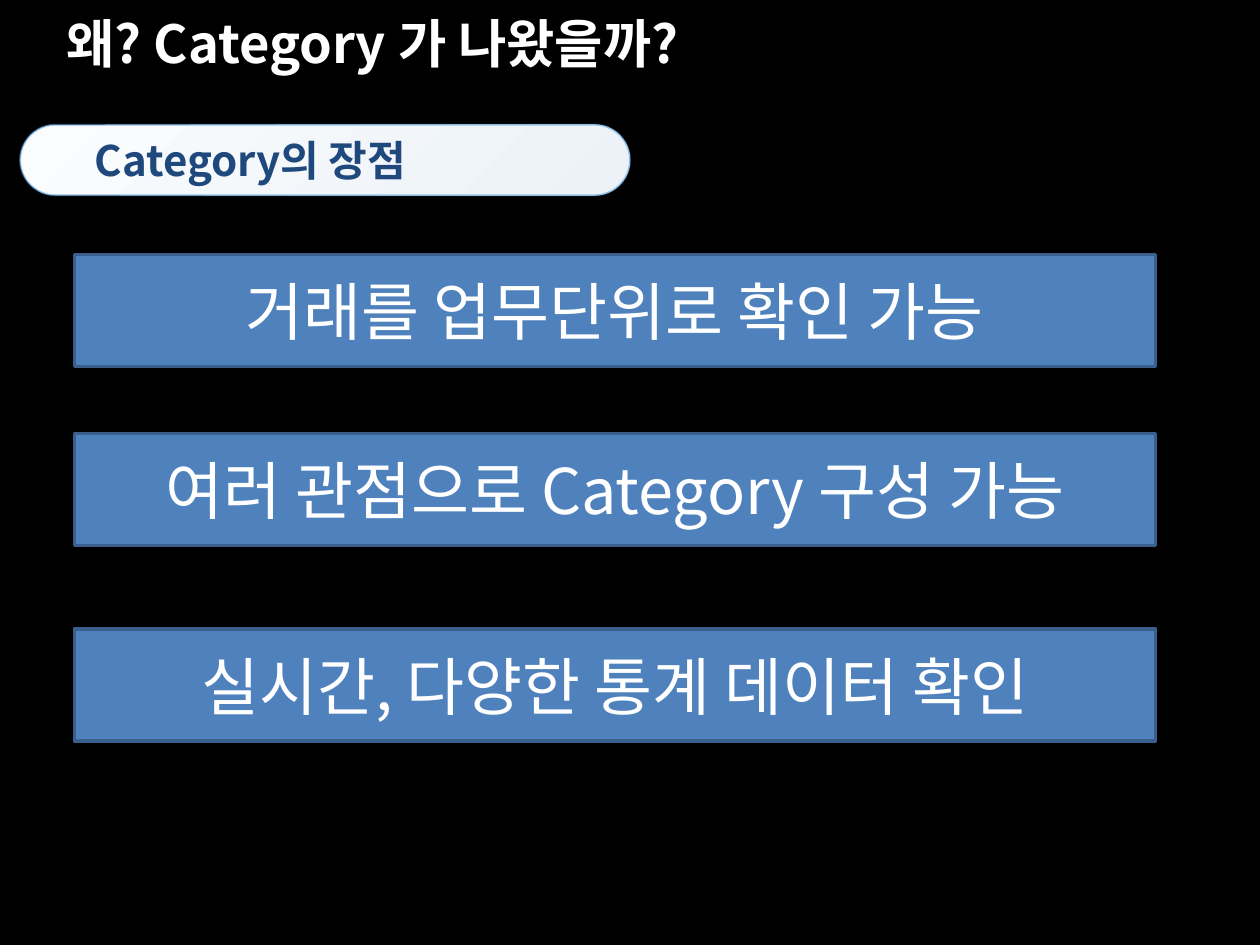
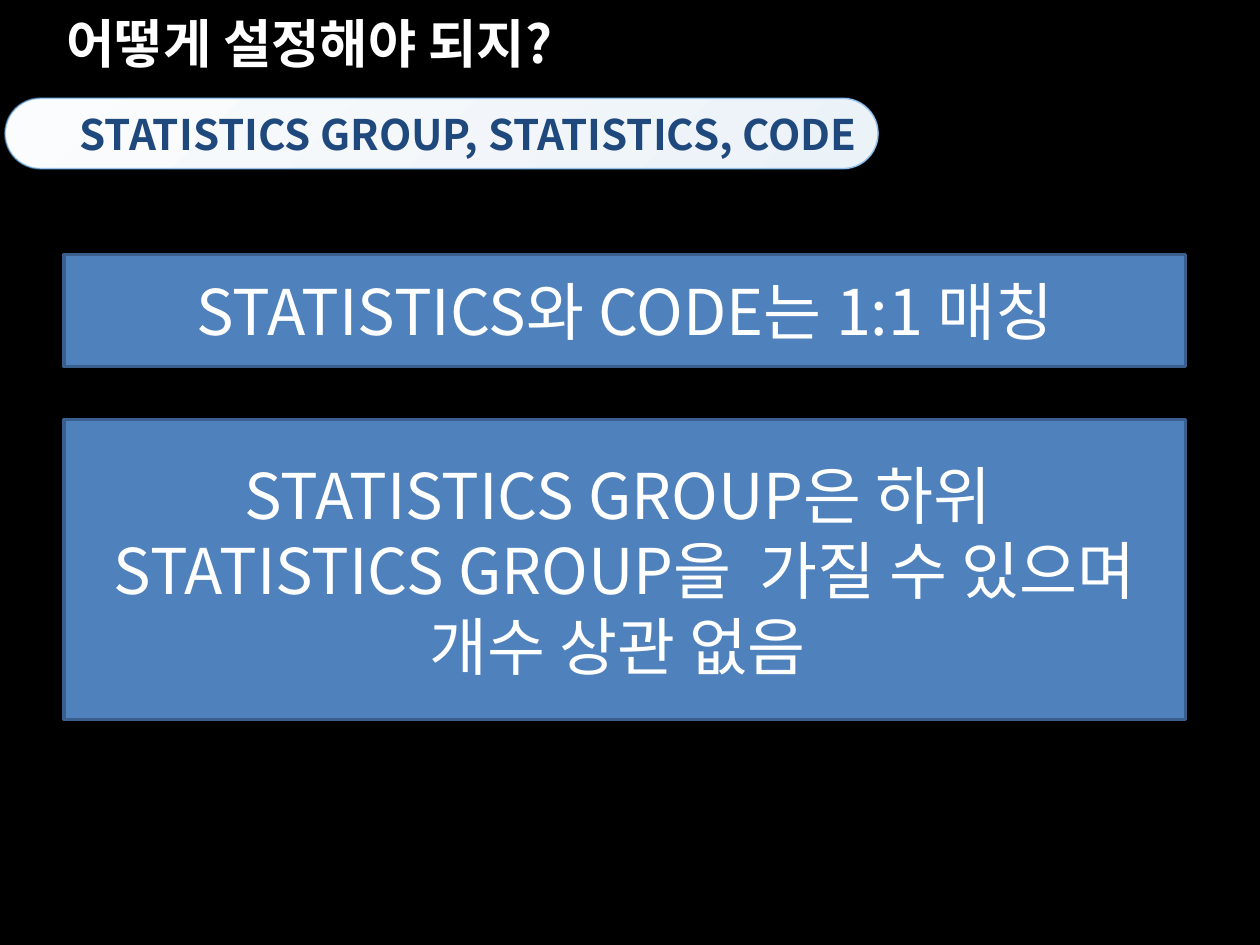
from dataclasses import dataclass

from lxml.etree import SubElement
from pptx import Presentation
from pptx.dml.color import RGBColor as RGB
from pptx.enum.shapes import MSO_SHAPE as SHAPE
from pptx.enum.text import MSO_ANCHOR as ANCHOR, PP_ALIGN as ALIGN
from pptx.oxml.ns import qn
from pptx.util import Inches, Pt

COLUMNS, ROWS = 100, 75
UNIT = Inches(0.1)  # one column is as wide as one row is high


@dataclass(frozen=True)
class Theme:
    font: str = "Noto Sans CJK KR"
    background: RGB = RGB.from_string("000000")
    light: RGB = RGB.from_string("FFFFFF")
    heading: RGB = RGB.from_string("1F497D")
    pill_start: RGB = RGB.from_string("FBFCFE")
    pill_end: RGB = RGB.from_string("EBF2F8")
    pill_edge: RGB = RGB.from_string("5CA0DD")
    pill_edge_opacity: int = 60
    bar: RGB = RGB.from_string("4F81BD")
    bar_edge: RGB = RGB.from_string("3A5F8C")
    title_size: int = 30
    heading_size: int = 24
    bar_size: int = 36


@dataclass(frozen=True)
class Box:
    """An area in columns and rows of the grid."""
    left: float
    top: float
    width: float
    height: float

    def emu(self):
        return [round(n * UNIT) for n in (self.left, self.top, self.width, self.height)]

    def strip(self, top, height):
        """A full-width part, its top counted from the top of this box."""
        return Box(self.left, self.top + top, self.width, height)


THEME = Theme()
TITLE = Box(4.3, 0, 70.1, 6.8)
BAR_HEIGHT = 8.9


def write(shape, text, size, color, bold=False, align=ALIGN.LEFT):
    frame = shape.text_frame
    frame.vertical_anchor = ANCHOR.MIDDLE
    paragraph = frame.paragraphs[0]
    paragraph.text = text
    paragraph.alignment = align
    font = paragraph.font
    font.name, font.size, font.bold = THEME.font, Pt(size), bold
    font.color.rgb = color
    # Hangul takes the East Asian typeface
    properties = paragraph._p.pPr.find(qn("a:defRPr"))
    SubElement(properties, qn("a:ea"), typeface=THEME.font)


def add_panel(slide, kind, box, edge, edge_width):
    panel = slide.shapes.add_shape(kind, *box.emu())
    panel.shadow.inherit = False
    panel.line.color.rgb = edge
    panel.line.width = Pt(edge_width)
    return panel


def add_title(slide, box, text):
    title = slide.shapes.add_textbox(*box.emu())
    title.text_frame.word_wrap = True
    write(title, text, THEME.title_size, THEME.light, bold=True)


def add_heading(slide, box, text):
    pill = add_panel(slide, SHAPE.ROUNDED_RECTANGLE, box, THEME.pill_edge, 1)
    pill.adjustments[0] = 0.5
    # Gradient from top left to bottom right
    pill.fill.gradient()
    pill.fill.gradient_angle = 315
    for stop, color in zip(pill.fill.gradient_stops, (THEME.pill_start, THEME.pill_end)):
        stop.color.rgb = color
    # Translucent outline
    edge = pill.line._ln.find(".//" + qn("a:srgbClr"))
    SubElement(edge, qn("a:alpha"), val=str(THEME.pill_edge_opacity * 1000))
    pill.text_frame.word_wrap = False
    pill.text_frame.margin_left = Inches(0.51)
    write(pill, text, THEME.heading_size, THEME.heading, bold=True)


def add_bars(slide, box, bars):
    """Place each (top, height, text) bar within the box."""
    for top, height, text in bars:
        bar = add_panel(slide, SHAPE.RECTANGLE, box.strip(top, height), THEME.bar_edge, 2)
        bar.fill.solid()
        bar.fill.fore_color.rgb = THEME.bar
        write(bar, text, THEME.bar_size, THEME.light, align=ALIGN.CENTER)


def add_statement_slide(deck, title, heading_box, heading, body_box, bars):
    slide = deck.slides.add_slide(deck.slide_layouts[6])
    slide.background.fill.solid()
    slide.background.fill.fore_color.rgb = THEME.background
    add_title(slide, TITLE, title)
    add_heading(slide, heading_box, heading)
    add_bars(slide, body_box, bars)


def main():
    deck = Presentation()
    deck.slide_width, deck.slide_height = COLUMNS * UNIT, ROWS * UNIT

    # Advantages of categories
    add_statement_slide(
        deck, "왜? Category 가 나왔을까?",
        Box(1.6, 9.9, 48.4, 5.6), "Category의 장점",
        Box(5.9, 20.2, 85.8, 38.6),
        [(0, BAR_HEIGHT, "거래를 업무단위로 확인 가능"),
         (14.2, BAR_HEIGHT, "여러 관점으로 Category 구성 가능"),
         (29.7, BAR_HEIGHT, "실시간, 다양한 통계 데이터 확인")])

    # Rules for the settings
    add_statement_slide(
        deck, "어떻게 설정해야 되지?",
        Box(0.4, 7.8, 69.3, 5.6), "STATISTICS GROUP, STATISTICS, CODE",
        Box(5.1, 20.2, 89, 36.9),
        [(0, BAR_HEIGHT, "STATISTICS와 CODE는 1:1 매칭"),
         (13.1, 23.8, "STATISTICS GROUP은 하위 \n"
                      "STATISTICS GROUP을  가질 수 있으며 개수 상관 없음 ")])

    deck.save("out.pptx")


if __name__ == "__main__":
    main()
